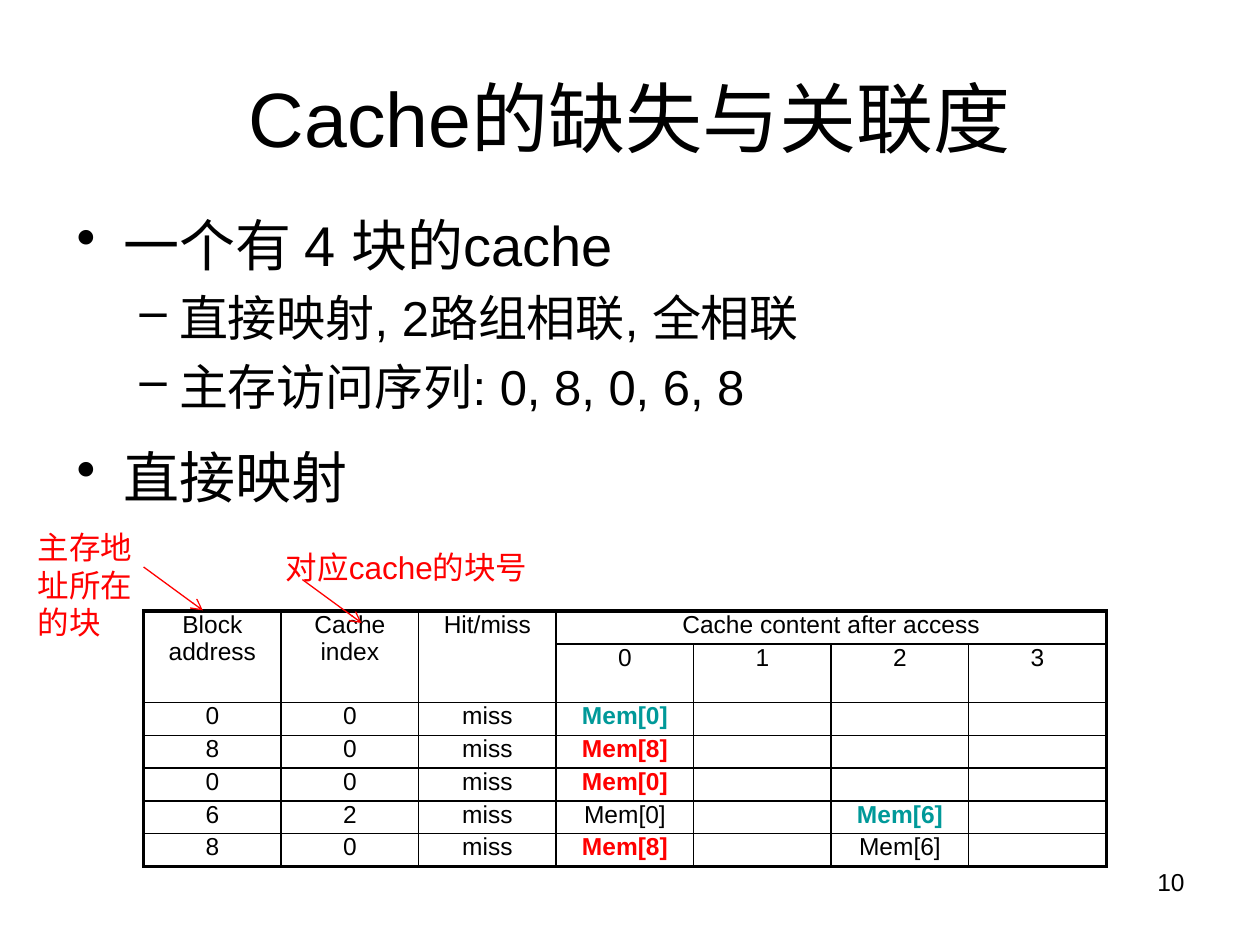
from dataclasses import dataclass

from lxml import etree
from pptx import Presentation
from pptx.dml.color import RGBColor
from pptx.enum.shapes import MSO_CONNECTOR
from pptx.enum.text import MSO_ANCHOR, MSO_AUTO_SIZE, PP_ALIGN
from pptx.oxml.ns import qn
from pptx.util import Pt

LEFT, CENTER, RIGHT = PP_ALIGN.LEFT, PP_ALIGN.CENTER, PP_ALIGN.RIGHT
TOP, MIDDLE = MSO_ANCHOR.TOP, MSO_ANCHOR.MIDDLE
GROW = MSO_AUTO_SIZE.SHAPE_TO_FIT_TEXT
STRAIGHT = MSO_CONNECTOR.STRAIGHT


@dataclass(frozen=True)
class Theme:
    """Colours, font and type sizes of the slide."""
    font: str = "Arial"
    ink: str = "000000"
    red: str = "FF0000"
    teal: str = "009999"
    title: int = 44
    levels: tuple = (32, 28)
    label: int = 18
    small: int = 14
    outer_line: float = 2.25
    inner_line: float = 1
    arrow_line: float = 0.75


THEME = Theme()

TITLE = "Cache的缺失与关联度"
PAGE_NUMBER = "10"

# level, space before as a share of the type size, text
BULLETS = [
    (0, 0.2, "一个有 4 块的cache"),
    (1, 0.2, "直接映射, 2路组相联, 全相联"),
    (1, 0.2, "主存访问序列: 0, 8, 0, 6, 8"),
    (0, 0.5, "直接映射"),
]
# bullet character, left margin, hanging indent
BULLET_STYLES = [("•", 27, 27), ("–", 58.5, 22.5)]

HEADER = [
    ["Block address", "Cache index", "Hit/miss", "Cache content after access", "", "", ""],
    ["", "", "", "0", "1", "2", "3"],
]
ACCESSES = [
    ["0", "0", "miss", "Mem[0]", "", "", ""],
    ["8", "0", "miss", "Mem[8]", "", "", ""],
    ["0", "0", "miss", "Mem[0]", "", "", ""],
    ["6", "2", "miss", "Mem[0]", "", "Mem[6]", ""],
    ["8", "0", "miss", "Mem[8]", "", "Mem[6]", ""],
]
MERGES = [((0, 0), (1, 0)), ((0, 1), (1, 1)), ((0, 2), (1, 2)), ((0, 3), (0, 6))]
FILLED = {(2, 3): THEME.teal, (3, 3): THEME.red, (4, 3): THEME.red,
          (5, 5): THEME.teal, (6, 3): THEME.red}

TABLE_LEFT, TABLE_TOP, COLUMN, ROW = 82.08, 349.2, 78.6, 18.72
LABELS = [
    ("主存地址所在的块", (14.4, 298.08, 79.2, 72.72)),
    ("对应cache的块号", (156.24, 309.6, 164.16, 28.8)),
]
ARROW_STARTS = [(82.08, 324), (172.8, 331.2)]
ARROW_REACH = (33.84, 24.8)


def set_font(paragraph, size, color=THEME.ink, bold=False):
    """Give a paragraph its font."""
    font = paragraph.font
    font.name, font.size, font.bold = THEME.font, Pt(size), bold
    font.color.rgb = RGBColor.from_string(color)


def add_box(slide, place, anchor=TOP):
    """Add a wrapping text box and return its text frame."""
    frame = slide.shapes.add_textbox(*map(Pt, place)).text_frame
    frame.word_wrap = True
    frame.vertical_anchor = anchor
    return frame


def add_text(slide, text, place, size, color=THEME.ink, align=LEFT, anchor=TOP):
    """Add a box with one paragraph and return its text frame."""
    frame = add_box(slide, place, anchor)
    para = frame.paragraphs[0]
    para.text, para.alignment = text, align
    set_font(para, size, color)
    return frame


def add_bullets(slide, place):
    """Add the bulleted list."""
    frame = add_box(slide, place)
    for index, (level, share, text) in enumerate(BULLETS):
        para = frame.add_paragraph() if index else frame.paragraphs[0]
        size = THEME.levels[level]
        para.text, para.level = text, level
        para.space_before = Pt(size * share)
        set_font(para, size)
        char, margin, hang = BULLET_STYLES[level]
        props = para._p.get_or_add_pPr()
        props.set("marL", str(Pt(margin)))
        props.set("indent", str(-Pt(hang)))
        bullet = etree.Element(qn("a:buChar"), char=char)
        props.find(qn("a:defRPr")).addprevious(bullet)


def add_border(cell, side, width):
    """Draw one side of a table cell."""
    line = etree.SubElement(cell._tc.get_or_add_tcPr(), qn("a:ln" + side), w=str(Pt(width)))
    fill = etree.SubElement(line, qn("a:solidFill"))
    etree.SubElement(fill, qn("a:srgbClr"), val=THEME.ink)


def add_cache_table(slide):
    """Add the table of accesses, with a heavy frame and thin inner lines."""
    rows = HEADER + ACCESSES
    height, width = len(rows), len(rows[0])
    table = slide.shapes.add_table(height, width, Pt(TABLE_LEFT), Pt(TABLE_TOP),
                                   Pt(COLUMN * width), Pt(ROW * height)).table
    table.first_row = table.horz_banding = False
    for column in table.columns:
        column.width = Pt(COLUMN)
    for row in table.rows:
        row.height = Pt(ROW)
    for first, last in MERGES:
        table.cell(*first).merge(table.cell(*last))
    for r, texts in enumerate(rows):
        for c, text in enumerate(texts):
            cell = table.cell(r, c)
            cell.margin_top = cell.margin_bottom = 0
            para = cell.text_frame.paragraphs[0]
            para.text, para.alignment = text, CENTER
            set_font(para, THEME.small, FILLED.get((r, c), THEME.ink), (r, c) in FILLED)
            if not text:
                etree.SubElement(para._p, qn("a:endParaRPr"), sz=str(THEME.small * 100))
            outer = {"L": c == 0, "R": c + cell.span_width == width,
                     "T": r == 0, "B": r + cell.span_height == height}
            for side, is_outer in outer.items():
                if is_outer or not cell.is_spanned:
                    add_border(cell, side, THEME.outer_line if is_outer else THEME.inner_line)
            cell.fill.background()


def add_arrow(slide, x, y):
    """Add a red arrow pointing down and right into the table."""
    reach_x, reach_y = ARROW_REACH
    arrow = slide.shapes.add_connector(STRAIGHT, Pt(x), Pt(y), Pt(x + reach_x), Pt(y + reach_y))
    arrow.line.color.rgb = RGBColor.from_string(THEME.red)
    arrow.line.width = Pt(THEME.arrow_line)
    etree.SubElement(arrow.line._get_or_add_ln(), qn("a:tailEnd"), type="arrow")
    etree.SubElement(arrow._element.spPr, qn("a:effectLst"))


def build():
    """Build the deck and save it."""
    deck = Presentation()
    deck.slide_width, deck.slide_height = Pt(720), Pt(540)
    slide = deck.slides.add_slide(deck.slide_layouts[6])
    add_text(slide, TITLE, (36, 21.6, 648, 90), THEME.title, align=CENTER, anchor=MIDDLE)
    add_text(slide, PAGE_NUMBER, (516.24, 491.76, 167.76, 37.44), THEME.small, align=RIGHT)
    add_bullets(slide, (36.72, 116.64, 651.6, 181.44))
    add_cache_table(slide)
    for text, place in LABELS:
        add_text(slide, text, place, THEME.label, THEME.red).auto_size = GROW
    for start in ARROW_STARTS:
        add_arrow(slide, *start)
    deck.save("out.pptx")


build()
